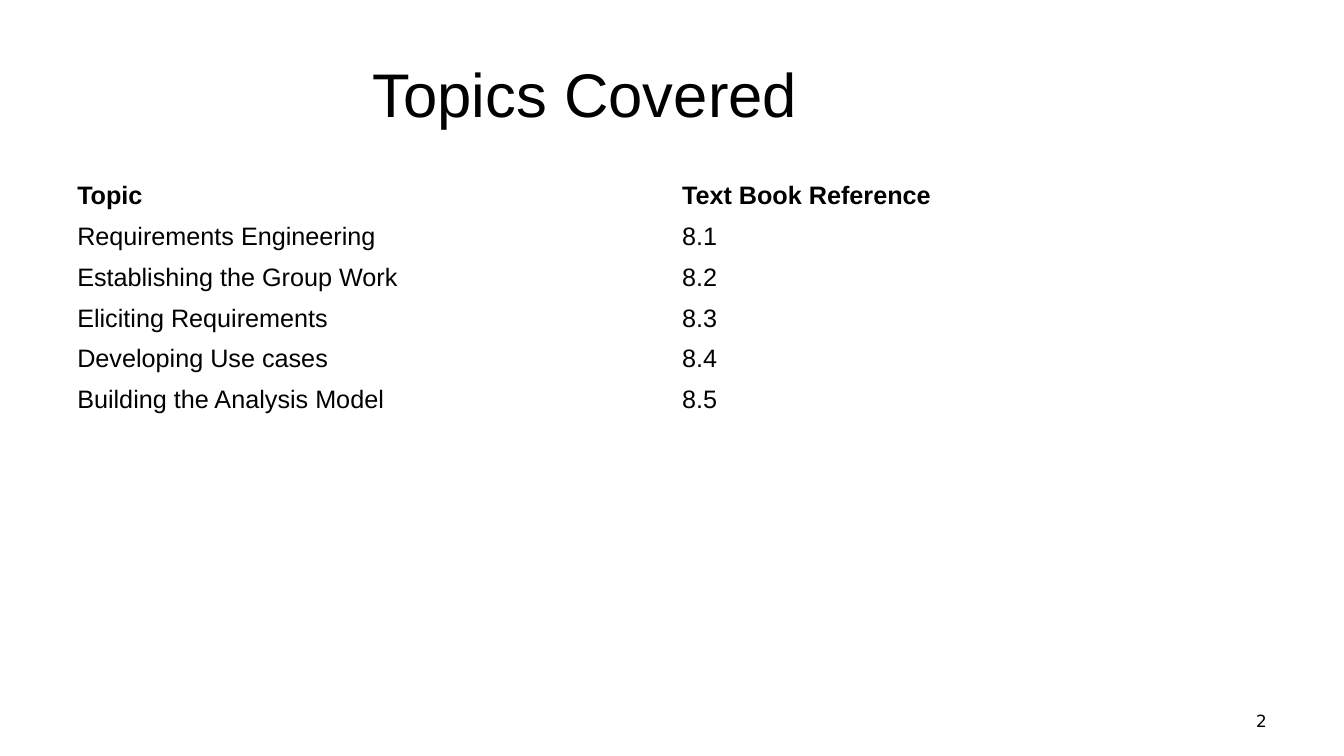
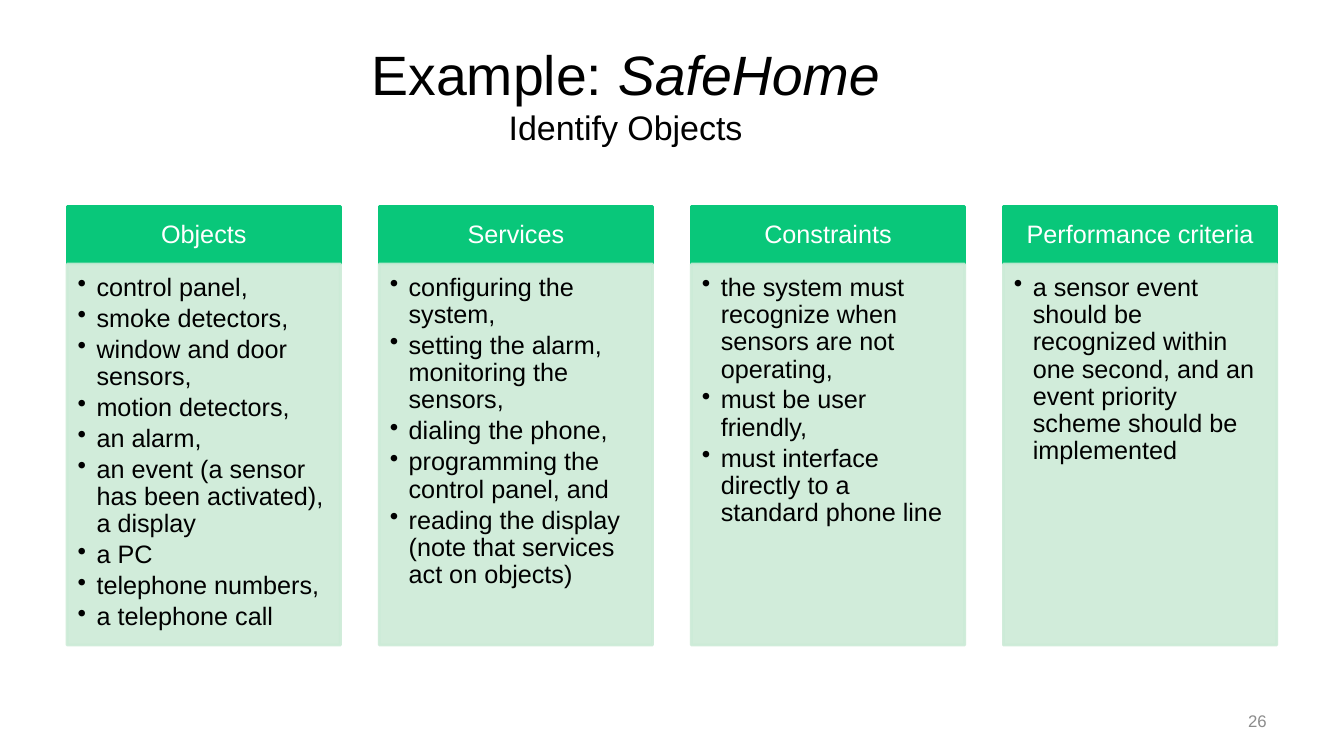
"""Build two slides: a table of topics covered and a four-column list of identified objects."""
from dataclasses import dataclass

from lxml.etree import SubElement
from pptx import Presentation
from pptx.dml.color import RGBColor
from pptx.enum.shapes import MSO_SHAPE
from pptx.enum.text import MSO_ANCHOR, PP_ALIGN
from pptx.oxml.ns import qn
from pptx.util import Pt

TOPICS = [
    ("Topic", "Text Book Reference"),
    ("Requirements Engineering", "8.1"),
    ("Establishing the Group Work", "8.2"),
    ("Eliciting Requirements", "8.3"),
    ("Developing Use cases", "8.4"),
    ("Building the Analysis Model", "8.5"),
]
COLUMNS = {
    "Objects": [
        "control panel,",
        "smoke detectors,",
        "window and door sensors,",
        "motion detectors,",
        "an alarm,",
        "an event (a sensor has been activated), a display",
        "a PC",
        "telephone numbers,",
        "a telephone call",
    ],
    "Services": [
        "configuring the system,",
        "setting the alarm, monitoring the sensors,",
        "dialing the phone,",
        "programming the control panel, and",
        "reading the display (note that services act on objects)",
    ],
    "Constraints": [
        "the system must recognize when sensors are not operating,",
        "must be user friendly,",
        "must interface directly to a standard phone line",
    ],
    "Performance criteria": [
        "a sensor event should be recognized within one second, "
        "and an event priority scheme should be implemented",
    ],
}


@dataclass(frozen=True)
class Theme:
    font: str = "Arial"
    number_font: str = "DejaVu Sans"
    ink: RGBColor = RGBColor(0x00, 0x00, 0x00)
    white: RGBColor = RGBColor(0xFF, 0xFF, 0xFF)
    gray: RGBColor = RGBColor(0x8C, 0x8C, 0x8C)
    green: RGBColor = RGBColor(0x09, 0xC7, 0x7A)
    mint: RGBColor = RGBColor(0xCC, 0xEB, 0xD7)
    title: float = 44
    long_title: float = 39.6
    subtitle: float = 24.3
    body: float = 18
    number: float = 12


THEME = Theme()
LEFT, CONTENT_WIDTH = 48, 864
TABLE_TOP, TABLE_ROWS, ROW_HEIGHT = 126, 10, 29.23
COLUMN_WIDTH, COLUMN_TOP, HEADER_HEIGHT, LIST_HEIGHT = 195.2, 147.4, 41.2, 272.2
BULLET_INDENT = 13.5


def add_span(para, text, size=THEME.body, color=THEME.ink, font=THEME.font, bold=False, italic=False):
    span = para.add_run()
    span.text = text
    span.font.name, span.font.size = font, Pt(size)
    span.font.bold, span.font.italic = bold, italic
    span.font.color.rgb = color


def add_box(page, left, top, width, height, align):
    box = page.shapes.add_textbox(Pt(left), Pt(top), Pt(width), Pt(height))
    frame = box.text_frame
    frame.word_wrap = True
    frame.vertical_anchor = MSO_ANCHOR.MIDDLE
    frame.paragraphs[0].alignment = align
    return frame


def add_title(page):
    return add_box(page, LEFT, 21.6, 797.8, 90, PP_ALIGN.CENTER)


def add_page_number(page, number, font, color):
    frame = add_box(page, 688, 500.5, 224, 28.8, PP_ALIGN.RIGHT)
    add_span(frame.paragraphs[0], number, THEME.number, color, font)


def add_panel(page, left, top, height, color, insets, opacity=100):
    panel = page.shapes.add_shape(
        MSO_SHAPE.RECTANGLE, Pt(left), Pt(top), Pt(COLUMN_WIDTH), Pt(height))
    panel.shadow.inherit = False
    panel.fill.solid()
    panel.fill.fore_color.rgb = color
    panel.line.color.rgb = color
    panel.line.width = Pt(2)
    if opacity < 100:
        for paint in panel._element.spPr.xpath(".//a:srgbClr"):
            SubElement(paint, qn("a:alpha")).set("val", str(opacity * 1000))
    frame = panel.text_frame
    frame.word_wrap = True
    frame.margin_left, frame.margin_top, frame.margin_right, frame.margin_bottom = map(Pt, insets)
    return frame


def add_bullet(para):
    properties = para._p.get_or_add_pPr()
    properties.set("marL", str(Pt(BULLET_INDENT)))
    properties.set("indent", str(-Pt(BULLET_INDENT)))
    SubElement(properties, qn("a:buChar")).set("char", "•")


def add_column(page, left, heading, items):
    header = add_panel(page, left, COLUMN_TOP, HEADER_HEIGHT, THEME.green, (10, 5.8, 10, 5.8))
    header.vertical_anchor = MSO_ANCHOR.MIDDLE
    para = header.paragraphs[0]
    para.alignment, para.line_spacing = PP_ALIGN.CENTER, 0.9
    add_span(para, heading, color=THEME.white)

    listing = add_panel(page, left, COLUMN_TOP + HEADER_HEIGHT, LIST_HEIGHT, THEME.mint,
                        (7.5, 7.5, 10, 11.3), opacity=90)
    listing.vertical_anchor = MSO_ANCHOR.TOP
    for index, item in enumerate(items):
        para = listing.add_paragraph() if index else listing.paragraphs[0]
        add_bullet(para)
        para.alignment, para.line_spacing, para.space_after = PP_ALIGN.LEFT, 0.9, Pt(2.7)
        add_span(para, item)


def build_topics(page):
    title = add_title(page)
    title.margin_right = Pt(65)
    add_span(title.paragraphs[0], "Topics Covered", THEME.title)

    table = page.shapes.add_table(
        TABLE_ROWS, 2, Pt(LEFT), Pt(TABLE_TOP), Pt(CONTENT_WIDTH), Pt(TABLE_ROWS * ROW_HEIGHT)).table
    table.first_row = table.horz_banding = False
    for row in table.rows:
        row.height = Pt(ROW_HEIGHT)
    for cell in table.iter_cells():
        cell.fill.background()
    for row_index, texts in enumerate(TOPICS):
        for column_index, text in enumerate(texts):
            para = table.cell(row_index, column_index).text_frame.paragraphs[0]
            add_span(para, text, bold=row_index == 0)
    add_page_number(page, "2", THEME.number_font, THEME.ink)


def build_objects(page):
    para = add_title(page).paragraphs[0]
    add_span(para, "Example: ", THEME.long_title)
    add_span(para, "SafeHome", THEME.long_title, italic=True)
    para.add_line_break()
    add_span(para, "Identify Objects", THEME.subtitle)

    pitch = (CONTENT_WIDTH - COLUMN_WIDTH) / (len(COLUMNS) - 1)
    for index, (heading, items) in enumerate(COLUMNS.items()):
        add_column(page, LEFT + index * pitch, heading, items)
    add_page_number(page, "26", THEME.font, THEME.gray)


def main():
    deck = Presentation()
    deck.slide_width, deck.slide_height = Pt(960), Pt(540)
    for build in (build_topics, build_objects):
        build(deck.slides.add_slide(deck.slide_layouts[6]))
    deck.save("out.pptx")


if __name__ == "__main__":
    main()
